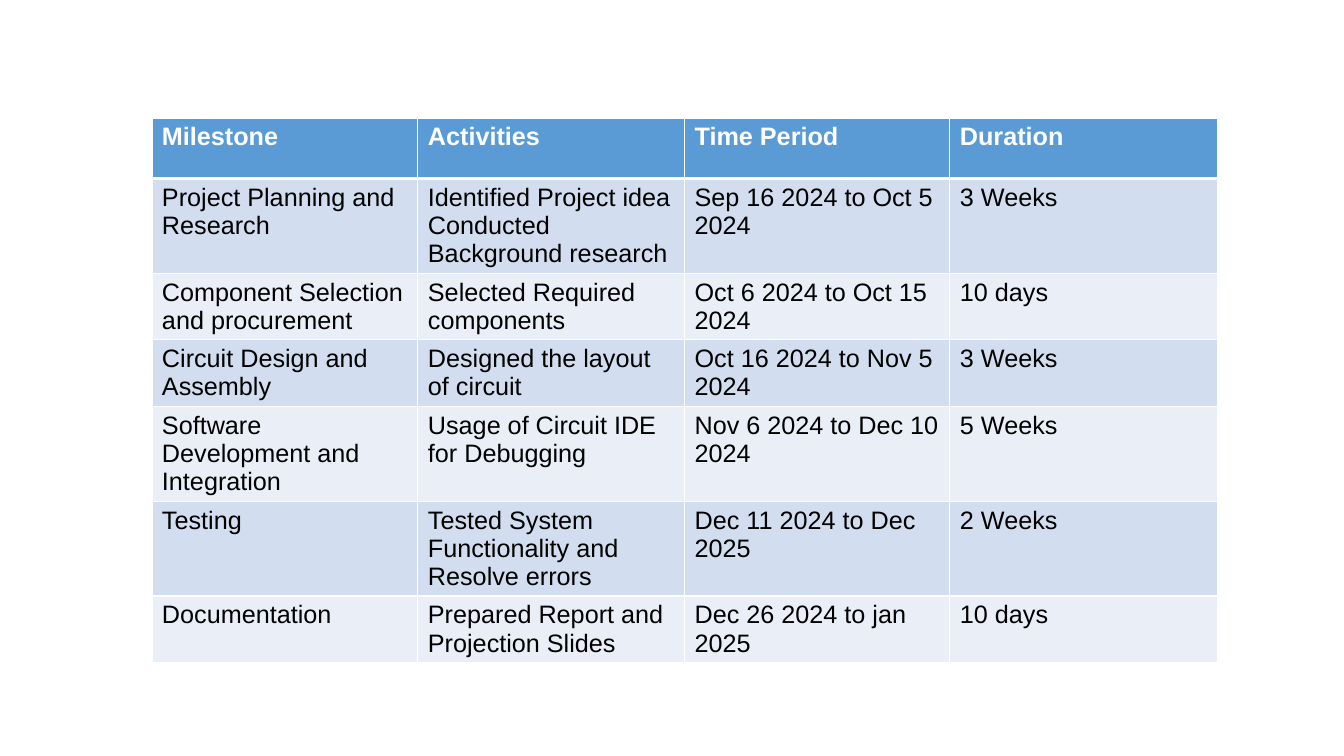
from lxml import etree
from pptx import Presentation
from pptx.dml.color import RGBColor
from pptx.oxml.ns import qn
from pptx.util import Pt

COLORS = {
    "header": "5B9BD5",
    "odd_row": "D2DEEF",
    "even_row": "EAEFF7",
    "border": "FFFFFF",
    "header_text": "FFFFFF",
    "body_text": "000000",
}
COLUMN_WIDTHS = [190, 190.5, 189.5, 191.5]
ROW_HEIGHT = 43.2
SCHEDULE = [
    ("Milestone", "Activities", "Time Period", "Duration"),
    ("Project Planning and Research",
     "Identified Project idea Conducted Background research",
     "Sep 16 2024 to Oct 5 2024", "3 Weeks"),
    ("Component Selection and procurement", "Selected Required components",
     "Oct 6 2024 to Oct 15 2024", "10 days"),
    ("Circuit Design and Assembly", "Designed the layout of circuit",
     "Oct 16 2024 to Nov 5 2024", "3 Weeks"),
    ("Software Development and Integration", "Usage of Circuit IDE for Debugging",
     "Nov 6 2024 to Dec 10 2024", "5 Weeks"),
    ("Testing", "Tested System Functionality and Resolve errors",
     "Dec 11 2024 to Dec 2025", "2 Weeks"),
    ("Documentation", "Prepared Report and Projection Slides",
     "Dec 26 2024 to jan 2025", "10 days"),
]


def add_borders(cell, top, bottom):
    """Draw all four cell borders; call before filling the cell."""
    properties = cell._tc.get_or_add_tcPr()
    for side, width in (("L", 1), ("R", 1), ("T", top), ("B", bottom)):
        line = etree.SubElement(properties, qn(f"a:ln{side}"), w=str(Pt(width)))
        fill = etree.SubElement(line, qn("a:solidFill"))
        etree.SubElement(fill, qn("a:srgbClr"), val=COLORS["border"])


presentation = Presentation()
presentation.slide_width = Pt(960)
presentation.slide_height = Pt(540)
slide = presentation.slides.add_slide(presentation.slide_layouts[6])

table = slide.shapes.add_table(
    len(SCHEDULE), len(COLUMN_WIDTHS), Pt(108.5), Pt(84.3),
    Pt(sum(COLUMN_WIDTHS)), Pt(ROW_HEIGHT * len(SCHEDULE))).table
for column, width in zip(table.columns, COLUMN_WIDTHS):
    column.width = Pt(width)

for row_index, texts in enumerate(SCHEDULE):
    is_header = row_index == 0
    table.rows[row_index].height = Pt(ROW_HEIGHT)
    if is_header:
        fill_name = "header"
    else:
        fill_name = "odd_row" if row_index % 2 else "even_row"
    for column_index, text in enumerate(texts):
        cell = table.cell(row_index, column_index)
        add_borders(cell, top=3 if row_index == 1 else 1, bottom=3 if is_header else 1)
        cell.fill.solid()
        cell.fill.fore_color.rgb = RGBColor.from_string(COLORS[fill_name])
        cell.text = text
        font = cell.text_frame.paragraphs[0].font
        font.name = "Arial"
        font.size = Pt(18)
        font.bold = is_header
        font.color.rgb = RGBColor.from_string(
            COLORS["header_text" if is_header else "body_text"])

presentation.save("out.pptx")
